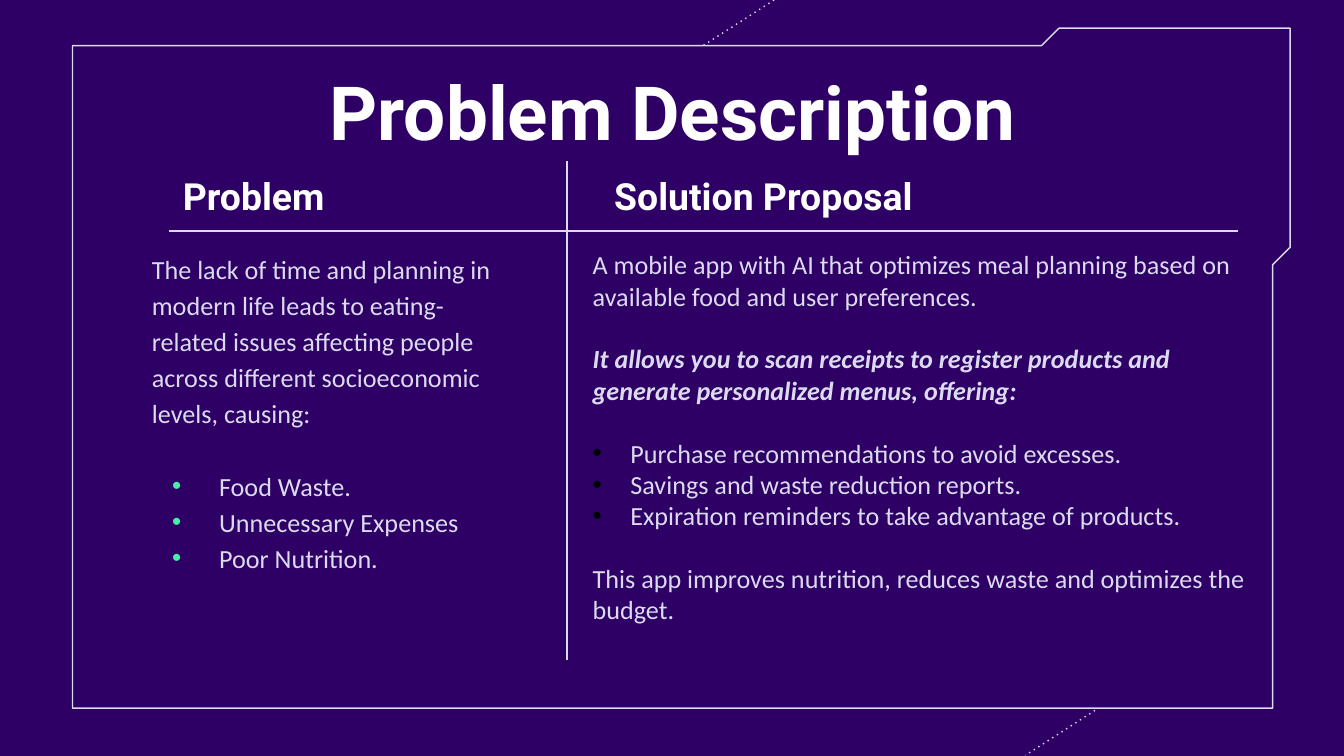
from lxml import etree
from pptx import Presentation
from pptx.dml.color import RGBColor
from pptx.enum.dml import MSO_LINE
from pptx.enum.shapes import MSO_CONNECTOR
from pptx.enum.text import MSO_ANCHOR, MSO_AUTO_SIZE, PP_ALIGN
from pptx.oxml.ns import qn
from pptx.util import Inches, Pt

DOTTED = MSO_LINE.ROUND_DOT
STRAIGHT = MSO_CONNECTOR.STRAIGHT
TOP, BOTTOM = MSO_ANCHOR.TOP, MSO_ANCHOR.BOTTOM
LEFT, CENTER = PP_ALIGN.LEFT, PP_ALIGN.CENTER
NO_AUTOFIT = MSO_AUTO_SIZE.NONE

COLORS = {
    "background": "2E0065",
    "line": "DBDBF0",
    "heading": "FFFFFF",
    "body": "DBDBF0",
    "problem_bullet": "43F0A6",
    "solution_bullet": "000000",
}

STYLES = {
    "title": {"name": "Roboto", "size": Pt(40), "bold": True, "italic": False},
    "heading": {"name": "Roboto", "size": Pt(20), "bold": True, "italic": False},
    "body": {"name": "Calibri", "size": Pt(14), "bold": False, "italic": False},
    "emphasis": {"name": "Calibri", "size": Pt(14), "bold": True, "italic": True},
}

PROBLEM_BULLET = {"color": "problem_bullet", "margin": 0.5, "hanging": 0.35}
SOLUTION_BULLET = {"color": "solution_bullet", "margin": 0.28, "hanging": 0.28}

PROBLEM = [
    ("The lack of time and planning in modern life leads to eating-related issues "
     "affecting people across different socioeconomic levels, causing:", "body", 0, None),
    ("Food Waste.", "body", 19.6, PROBLEM_BULLET),
    ("Unnecessary Expenses", "body", 0, PROBLEM_BULLET),
    ("Poor Nutrition.", "body", 0, PROBLEM_BULLET),
]
SOLUTION = [
    ("A mobile app with AI that optimizes meal planning based on available food "
     "and user preferences.", "body", 0, None),
    ("It allows you to scan receipts to register products and generate "
     "personalized menus, offering:", "emphasis", 16.8, None),
    ("Purchase recommendations to avoid excesses.", "body", 16.8, SOLUTION_BULLET),
    ("Savings and waste reduction reports.", "body", 0, SOLUTION_BULLET),
    ("Expiration reminders to take advantage of products.", "body", 0, SOLUTION_BULLET),
    ("This app improves nutrition, reduces waste and optimizes the budget.",
     "body", 16.8, None),
]

TEXTS = {
    0: ((0.79, 0.29, 8.43, 0.81), TOP, CENTER, 1.15,
        [("Problem Description", "title", 0, None)]),
    1: ((1.26, 1.19, 2.96, 0.53), BOTTOM, LEFT, 1.15, [("Problem", "heading", 0, None)]),
    2: ((1.03, 1.75, 2.9, 3.44), TOP, LEFT, 1.15, PROBLEM),
    3: ((4.47, 1.19, 4.4, 0.53), BOTTOM, LEFT, 1.15,
        [("Solution Proposal", "heading", 0, None)]),
    4: ((4.31, 1.75, 5.15, 3.35), TOP, LEFT, 1.0, SOLUTION),
}

FRAME = [(7.88, 0.21), (7.75, 0.34), (0.54, 0.34), (0.54, 5.27),
         (9.47, 5.27), (9.47, 1.97), (9.6, 1.84), (9.6, 0.21)]
DIAGONALS = [(5.76, 0, 4.28, 0.95), (8.87, 4.82, 7.63, 5.62)]
DIVIDERS = [(1.26, 1.72, 9.21, 1.72), (4.22, 1.2, 4.22, 4.91)]


def color(name):
    return RGBColor.from_string(COLORS[name])


def set_attributes(target, values):
    for name, value in values.items():
        setattr(target, name, value)


def style_line(shape):
    shape.line.color.rgb = color("line")
    shape.line.width = Pt(0.75)


def add_line(slide, ends):
    line = slide.shapes.add_connector(STRAIGHT, *map(Inches, ends))
    style_line(line)
    etree.SubElement(line.element.spPr, qn("a:effectLst"))
    return line


def add_diagonal(slide, ends):
    diagonal = add_line(slide, ends)
    diagonal.line.dash_style = DOTTED
    for dash in diagonal.element.iter(qn("a:prstDash")):
        dash.set("val", "dot")
    return diagonal


def add_frame(slide):
    points = [(Inches(x), Inches(y)) for x, y in FRAME]
    builder = slide.shapes.build_freeform(*points[0])
    builder.add_line_segments(points[1:], close=True)
    frame = builder.convert_to_shape()
    frame.shadow.inherit = False
    frame.fill.solid()
    frame.fill.fore_color.rgb = color("background")
    style_line(frame)
    return frame


def set_bullet(paragraph, bullet):
    properties = paragraph._p.get_or_add_pPr()
    margin, hanging = (bullet["margin"], bullet["hanging"]) if bullet else (0, 0)
    properties.set("marL", str(Inches(margin)))
    properties.set("indent", str(-Inches(hanging)))
    if bullet:
        bullet_color = etree.SubElement(properties, qn("a:buClr"))
        etree.SubElement(bullet_color, qn("a:srgbClr"), val=COLORS[bullet["color"]])
        etree.SubElement(properties, qn("a:buFont"), typeface="Arial")
        etree.SubElement(properties, qn("a:buChar"), char="•")
    else:
        etree.SubElement(properties, qn("a:buNone"))


def fill_text(shape, box, anchor, alignment, spacing, paragraphs):
    set_attributes(shape, dict(zip(("left", "top", "width", "height"), map(Inches, box))))
    frame = shape.text_frame
    set_attributes(frame, {"word_wrap": True, "auto_size": NO_AUTOFIT,
                           "vertical_anchor": anchor})
    for side in ("left", "top", "right", "bottom"):
        setattr(frame, f"margin_{side}", Inches(0.1))
    for index, (text, style, space, bullet) in enumerate(paragraphs):
        paragraph = frame.add_paragraph() if index else frame.paragraphs[0]
        set_bullet(paragraph, bullet)
        set_attributes(paragraph, {"alignment": alignment, "line_spacing": spacing,
                                   "space_before": Pt(space), "space_after": Pt(0)})
        run = paragraph.add_run()
        run.text = text
        set_attributes(run.font, STYLES[style])
        run.font.color.rgb = color("heading" if style in ("title", "heading") else "body")


def main():
    presentation = Presentation()
    presentation.slide_width = Inches(10)
    presentation.slide_height = Inches(10) * 9 // 16
    slide = presentation.slides.add_slide(presentation.slide_layouts.get_by_name("Comparison"))
    slide.background.fill.solid()
    slide.background.fill.fore_color.rgb = color("background")

    title = slide.shapes.title
    for ends in DIAGONALS:
        title.element.addprevious(add_diagonal(slide, ends).element)
    title.element.addprevious(add_frame(slide).element)

    for shape in slide.placeholders:
        fill_text(shape, *TEXTS[shape.placeholder_format.idx])
    for ends in DIVIDERS:
        add_line(slide, ends)
    presentation.save("out.pptx")


if __name__ == "__main__":
    main()
